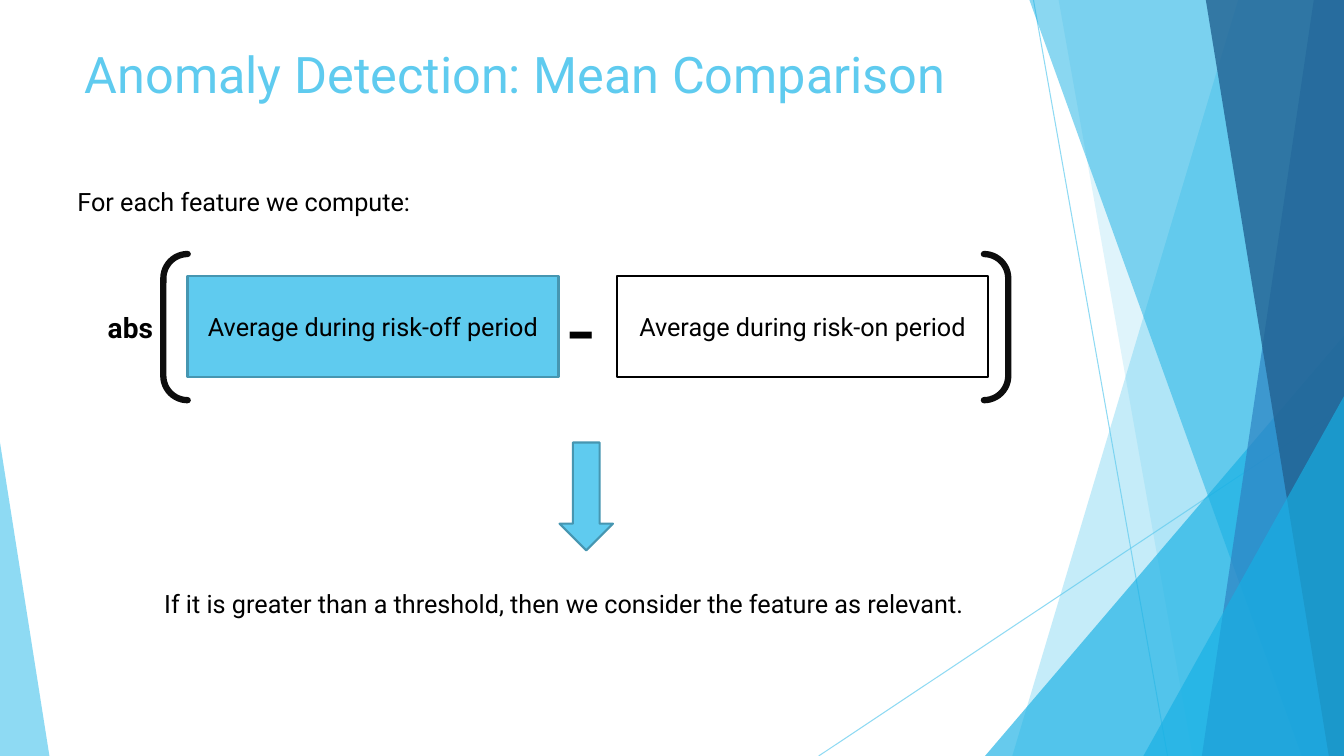
from lxml.etree import SubElement
from pptx import Presentation
from pptx.dml.color import RGBColor
from pptx.enum.shapes import MSO_CONNECTOR as Connector, MSO_SHAPE as Shape
from pptx.enum.text import MSO_ANCHOR as Anchor, MSO_AUTO_SIZE as AutoSize, PP_ALIGN as Align
from pptx.oxml.ns import qn
from pptx.util import Inches, Pt

WIDTH, HEIGHT = 13.33, 7.5
FONT = "Roboto"
COLORS = {
    "sky": "5FCBEF",
    "cyan": "17B0E4",
    "blue": "2E83C3",
    "navy": "226292",
    "sky_edge": "4696B1",
    "ink": "0D0D0D",
    "black": "000000",
    "white": "FFFFFF",
}


def rgb(name):
    return RGBColor.from_string(COLORS[name])


def set_opacity(shape, percent):
    for color in shape.element.spPr.iter(qn("a:srgbClr")):
        SubElement(color, qn("a:alpha")).set("val", str(percent * 1000))


def style_shape(shape, fill=None, line=None, line_width=1.5, opacity=None):
    shape.shadow.inherit = False
    if fill:
        shape.fill.solid()
        shape.fill.fore_color.rgb = rgb(fill)
    else:
        shape.fill.background()
    if line:
        shape.line.color.rgb = rgb(line)
        shape.line.width = Pt(line_width)
    else:
        shape.line.fill.background()
    if opacity:
        set_opacity(shape, opacity)


def write_text(shape, text, size=18, color="black", bold=False,
               align=Align.LEFT, anchor=Anchor.TOP, wrap=True):
    frame = shape.text_frame
    frame.word_wrap = wrap
    frame.auto_size = AutoSize.NONE
    frame.vertical_anchor = anchor
    paragraph = frame.paragraphs[0]
    paragraph.alignment = align
    run = paragraph.add_run()
    run.text = text
    run.font.name = FONT
    run.font.size = Pt(size)
    run.font.bold = bold
    run.font.color.rgb = rgb(color)


def add_label(slide, text, left, top, width, height, **text_format):
    box = slide.shapes.add_textbox(*map(Inches, (left, top, width, height)))
    write_text(box, text, **text_format)


def add_preset(slide, preset, left, top, width, height, adjustment=None, **style):
    shape = slide.shapes.add_shape(preset, *map(Inches, (left, top, width, height)))
    if adjustment is not None:
        shape.adjustments[0] = adjustment
    style_shape(shape, **style)
    return shape


def add_band(slide, top_left, bottom_left, fill, opacity):
    """A full-height facet that runs from a slanted left edge to the slide's right edge."""
    corners = [(top_left, 0), (WIDTH, 0), (WIDTH, HEIGHT), (bottom_left, HEIGHT)]
    points = [(Inches(x), Inches(y)) for x, y in corners]
    builder = slide.shapes.build_freeform(*points[0])
    builder.add_line_segments(points[1:], close=True)
    style_shape(builder.convert_to_shape(), fill=fill, opacity=opacity)


def add_corner(slide, left, top, width, apex, fill, opacity):
    """A right triangle standing on the slide's bottom edge."""
    add_preset(slide, Shape.ISOSCELES_TRIANGLE, left, top, width, HEIGHT - top,
               adjustment=apex, fill=fill, opacity=opacity)


def add_thin_line(slide, *ends):
    line = slide.shapes.add_connector(Connector.STRAIGHT, *map(Inches, ends))
    line.line.color.rgb = rgb("sky")
    line.line.width = Pt(0.75)
    set_opacity(line, 70)
    SubElement(line.element.spPr, qn("a:effectLst"))


def add_background(slide):
    add_thin_line(slide, 10.25, 0, 11.58, HEIGHT)
    add_thin_line(slide, WIDTH, 4.03, 8.12, HEIGHT)
    add_band(slide, 12.28, 10.04, "sky", 36)
    add_band(slide, 10.5, 11.83, "sky", 20)
    add_corner(slide, 9.77, 3.33, 3.56, 1, "cyan", 66)
    add_band(slide, 10.21, 12.91, "cyan", 50)
    add_band(slide, 13.03, 11.92, "blue", 70)
    add_band(slide, 11.96, 13.18, "navy", 80)
    add_corner(slide, 11.34, 3.93, 1.99, 1, "cyan", 66)
    add_corner(slide, 0, 4.39, 0.49, 0, "sky", 70)


def add_title(slide, text):
    title = slide.shapes.title
    title.left, title.top, title.width, title.height = map(Inches, (0.74, 0.34, 9.4, 0.77))
    write_text(title, text, size=36, color="sky", anchor=Anchor.MIDDLE)


def add_formula(slide):
    # Averages being compared
    averages = [
        (1.86, "Average during risk-off period", "sky", "sky_edge"),
        (6.12, "Average during risk-on period", "white", "black"),
    ]
    for left, text, fill, line in averages:
        box = add_preset(slide, Shape.RECTANGLE, left, 2.74, 3.68, 1, fill=fill, line=line)
        write_text(box, text, align=Align.CENTER, anchor=Anchor.MIDDLE)

    # Minus sign, brackets and function name
    add_label(slide, "-", 5.54, 2.64, 0.67, 1.21, size=66)
    brackets = add_preset(slide, Shape.DOUBLE_BRACKET, 1.62, 2.52, 8.38, 1.45,
                          line="ink", line_width=4.5)
    brackets.element.spPr.find(qn("a:ln")).set("cap", "rnd")
    add_label(slide, "abs", 0.97, 3.03, 0.79, 0.44, size=20, bold=True)


def main():
    presentation = Presentation()
    presentation.slide_width = Inches(WIDTH)
    presentation.slide_height = Inches(HEIGHT)
    slide = presentation.slides.add_slide(presentation.slide_layouts.get_by_name("Title Only"))

    add_background(slide)
    add_title(slide, "Anomaly Detection: Mean Comparison")
    add_label(slide, "For each feature we compute:", 0.67, 1.8, 4.7, 0.4)
    add_formula(slide)

    # Conclusion
    add_preset(slide, Shape.DOWN_ARROW, 5.55, 4.39, 0.53, 1.07, fill="sky", line="sky_edge")
    add_label(slide, "If it is greater than a threshold, then we consider the feature as relevant.",
              1.53, 5.79, 9.88, 0.4)

    presentation.save("out.pptx")


if __name__ == "__main__":
    main()
